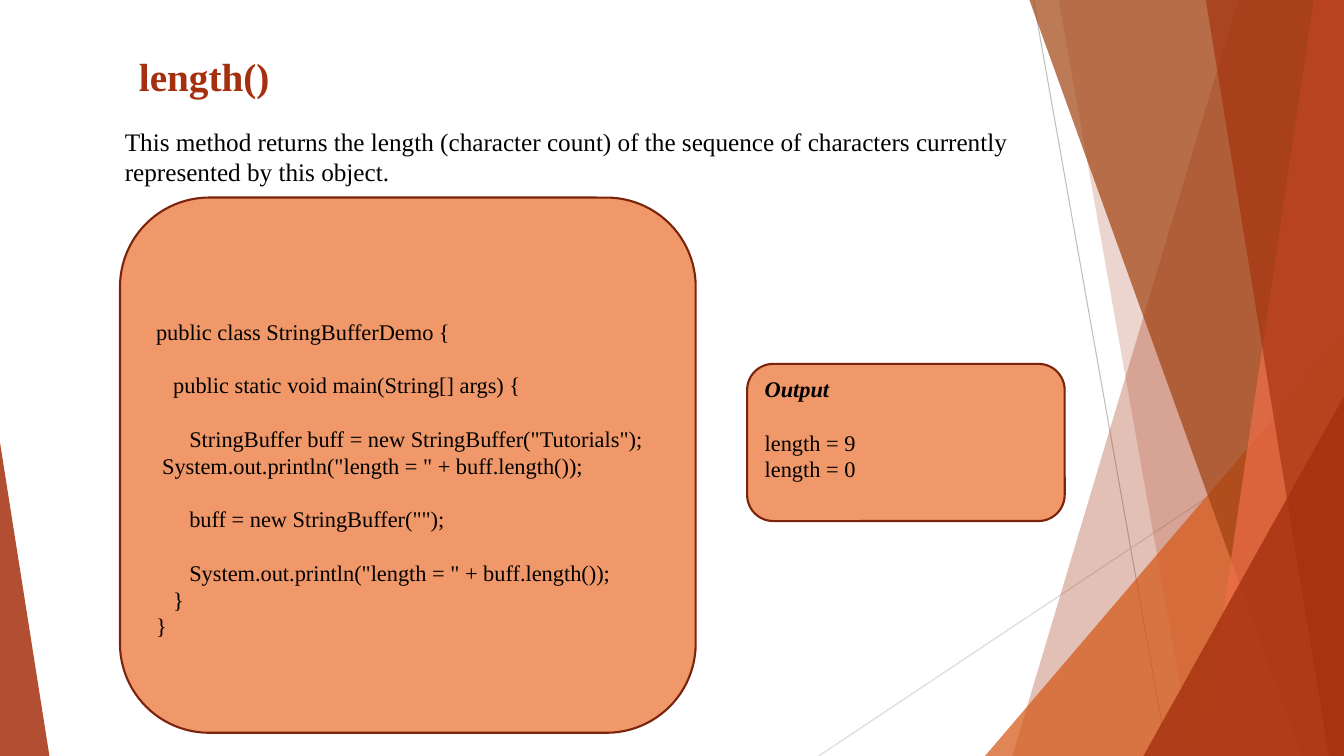
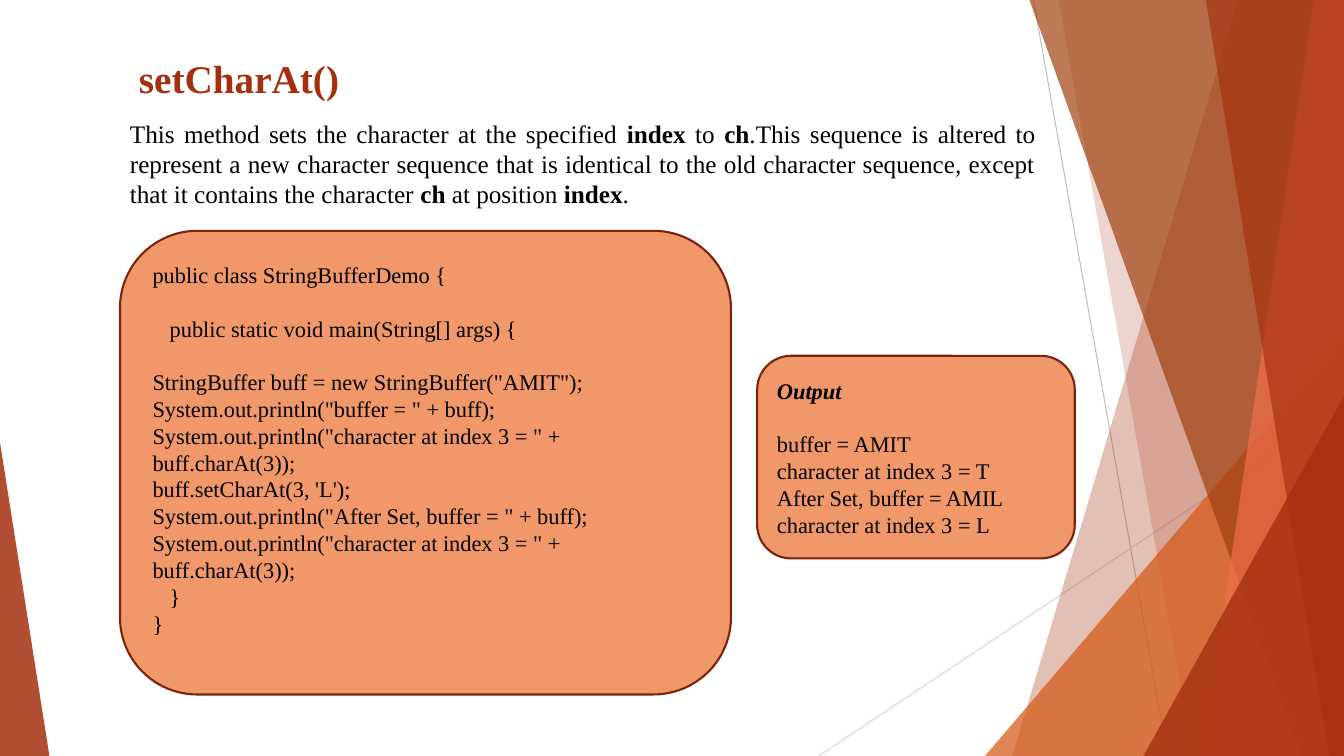
from dataclasses import dataclass

from lxml.etree import SubElement
from pptx import Presentation
from pptx.dml.color import RGBColor
from pptx.enum.shapes import MSO_CONNECTOR as Connector, MSO_SHAPE as Shape
from pptx.enum.text import MSO_ANCHOR as Anchor, PP_ALIGN as Align
from pptx.oxml.ns import qn
from pptx.util import Inches, Pt


@dataclass(frozen=True)
class Theme:
    """Colours, type sizes and measures shared by the slides."""

    font: str = "Times New Roman"
    title_size: int = 28
    body_size: int = 18
    code_size: int = 16
    line_gap: int = 19
    width: float = 13.33
    height: float = 7.5
    accent: str = "A5300F"
    orange: str = "D55816"
    brown: str = "A04210"
    coral: str = "EE6E4A"
    panel: str = "F09869"
    panel_edge: str = "7A240B"
    ink: str = "000000"
    grey: str = "BFBFBF"
    pale_grey: str = "D9D9D9"


THEME = Theme()
BLANK_LINE = 0.27


def paint(shape, fill, opacity=100, edge=None):
    """Fill a shape, with optional transparency and outline."""
    shape.shadow.inherit = False
    shape.fill.solid()
    shape.fill.fore_color.rgb = RGBColor.from_string(fill)
    if opacity < 100:
        color = shape.fill._xPr.find(qn("a:solidFill"))[0]
        SubElement(color, qn("a:alpha"), val=str(opacity * 1000))
    if edge:
        shape.line.color.rgb = RGBColor.from_string(edge)
        shape.line.width = Pt(1.5)
    else:
        shape.line.fill.background()


def add_hairline(shapes, start, end, color):
    """Draw a thin straight line between two points."""
    points = [Inches(value) for value in (*start, *end)]
    hairline = shapes.add_connector(Connector.STRAIGHT, *points)
    hairline.line.color.rgb = RGBColor.from_string(color)
    hairline.line.width = Pt(0.75)
    SubElement(hairline._element.spPr, qn("a:effectLst"))


def add_band(shapes, top_x, bottom_x, color, opacity):
    """Draw a slanted band that reaches the right edge."""
    right, bottom = Inches(THEME.width), Inches(THEME.height)
    outline = shapes.build_freeform(Inches(top_x), 0)
    outline.add_line_segments(
        [(right, 0), (right, bottom), (Inches(bottom_x), bottom)], close=True
    )
    paint(outline.convert_to_shape(), color, opacity)


def add_corner(shapes, left, top, width, peak, color, opacity):
    """Draw a triangle that stands on the bottom edge."""
    box = [Inches(v) for v in (left, top, width, THEME.height - top)]
    corner = shapes.add_shape(Shape.ISOSCELES_TRIANGLE, *box)
    corner.adjustments[0] = peak
    paint(corner, color, opacity)


def add_backdrop(slide):
    """Draw the facets shared by every slide."""
    facets = slide.shapes.add_group_shape().shapes
    add_hairline(facets, (10.25, 0), (11.58, THEME.height), THEME.grey)
    add_hairline(facets, (THEME.width, 4.03), (8.12, THEME.height), THEME.pale_grey)
    add_band(facets, 12.28, 10.04, THEME.accent, 30)
    add_band(facets, 10.5, 11.83, THEME.accent, 20)
    add_corner(facets, 9.77, 3.33, 3.56, 1, THEME.orange, 72)
    add_band(facets, 10.21, 12.91, THEME.brown, 70)
    add_band(facets, 13.03, 11.92, THEME.coral, 70)
    add_band(facets, 11.96, 13.18, THEME.accent, 65)
    add_corner(facets, 11.34, 3.93, 1.99, 1, THEME.accent, 80)
    add_corner(facets, 0, 4.39, 0.49, 0, THEME.accent, 85)


def write(frame, text, size=THEME.code_size, color=THEME.ink, bold=False,
          italic=False, align=Align.LEFT, indent=0, gap=False):
    """Add a paragraph; parts between ** marks turn bold."""
    first = frame.paragraphs[0]
    paragraph = frame.add_paragraph() if first.runs else first
    paragraph.alignment = align
    if indent:
        paragraph._p.get_or_add_pPr().set("marL", str(Inches(indent)))
    if gap:
        paragraph.space_before = Pt(THEME.line_gap)
    for index, part in enumerate(text.split("**")):
        run = paragraph.add_run()
        run.text = part
        run.font.name = THEME.font
        run.font.size = Pt(size)
        run.font.bold = bold or index % 2 == 1
        run.font.italic = italic
        run.font.color.rgb = RGBColor.from_string(color)


def add_label(slide, box, text, **style):
    """Place one wrapped paragraph on the slide."""
    label = slide.shapes.add_textbox(*map(Inches, box))
    label.text_frame.word_wrap = True
    write(label.text_frame, text, **style)


def add_title(slide, top, text):
    """Place the method name as slide title."""
    add_label(slide, (1.28, top, 7.42, 0.53), text,
              size=THEME.title_size, color=THEME.accent, bold=True)


def add_panel(slide, box, top_inset=0.05, bottom_inset=0.05):
    """Draw a rounded panel and return its text frame."""
    panel = slide.shapes.add_shape(Shape.ROUNDED_RECTANGLE, *map(Inches, box))
    paint(panel, THEME.panel, edge=THEME.panel_edge)
    frame = panel.text_frame
    frame.word_wrap = True
    frame.vertical_anchor = Anchor.MIDDLE
    frame.margin_top = Inches(top_inset)
    frame.margin_bottom = Inches(bottom_inset)
    return frame


def add_code(slide, box, lines, **insets):
    """Show a listing of (indent, gap before, text) lines."""
    frame = add_panel(slide, box, **insets)
    for indent, gap, text in lines:
        write(frame, text, indent=indent, gap=gap)


def add_output(slide, box, lines, **insets):
    """Show the printed lines under an Output heading."""
    frame = add_panel(slide, box, **insets)
    write(frame, "Output", bold=True, italic=True)
    for index, text in enumerate(lines):
        write(frame, text, gap=index == 0)


def add_length_slide(slide):
    """Explain the length method."""
    add_title(slide, 0.47, "length()")
    add_label(
        slide, (1.14, 1.2, 9.4, 0.71),
        "This method returns the length (character count) of the sequence of "
        "characters currently represented by this object.",
        size=THEME.body_size,
    )
    add_code(slide, (1.19, 1.96, 5.71, 5.31), [
        (0, False, "public class StringBufferDemo {"),
        (0.17, True, "public static void main(String[] args) {"),
        (0.33, True, 'StringBuffer buff = new StringBuffer("Tutorials");'),
        (0.06, False, 'System.out.println("length = " + buff.length());'),
        (0.33, True, 'buff = new StringBuffer("");'),
        (0.33, True, 'System.out.println("length = " + buff.length());'),
        (0.17, False, "}"),
        (0, False, "}"),
    ], top_inset=0.05 + BLANK_LINE)
    add_output(slide, (7.41, 3.61, 3.15, 1.56), ["length = 9", "length = 0"],
               top_inset=0, bottom_inset=BLANK_LINE)


def add_set_char_slide(slide):
    """Explain the setCharAt method."""
    add_title(slide, 0.49, "setCharAt()")
    add_label(
        slide, (1.19, 1.12, 9.18, 1.01),
        "This method sets the character at the specified **index** to **ch**."
        "This sequence is altered to represent a new character sequence that "
        "is identical to the old character sequence, except that it contains "
        "the character **ch** at position **index**.",
        size=THEME.body_size, align=Align.JUSTIFY,
    )
    print_char = 'System.out.println("character at index 3 = " + buff.charAt(3));'
    add_code(slide, (1.19, 2.29, 6.06, 4.6), [
        (0, False, "public class StringBufferDemo {"),
        (0.17, True, "public static void main(String[] args) {"),
        (0, True, 'StringBuffer buff = new StringBuffer("AMIT");'),
        (0, False, 'System.out.println("buffer = " + buff);'),
        (0, False, print_char),
        (0, False, "buff.setCharAt(3, 'L');"),
        (0, False, 'System.out.println("After Set, buffer = " + buff);'),
        (0, False, print_char),
        (0.17, False, "}"),
        (0, False, "}"),
    ], bottom_inset=0.05 + BLANK_LINE)
    add_output(slide, (7.51, 3.53, 3.15, 2.01), [
        "buffer = AMIT",
        "character at index 3 = T",
        "After Set, buffer = AMIL",
        "character at index 3 = L",
    ])


def main():
    """Build and save the presentation."""
    deck = Presentation()
    deck.slide_width = Inches(THEME.width)
    deck.slide_height = Inches(THEME.height)
    for add_content in (add_length_slide, add_set_char_slide):
        slide = deck.slides.add_slide(deck.slide_layouts[6])
        add_backdrop(slide)
        add_content(slide)
    deck.save("out.pptx")


if __name__ == "__main__":
    main()
